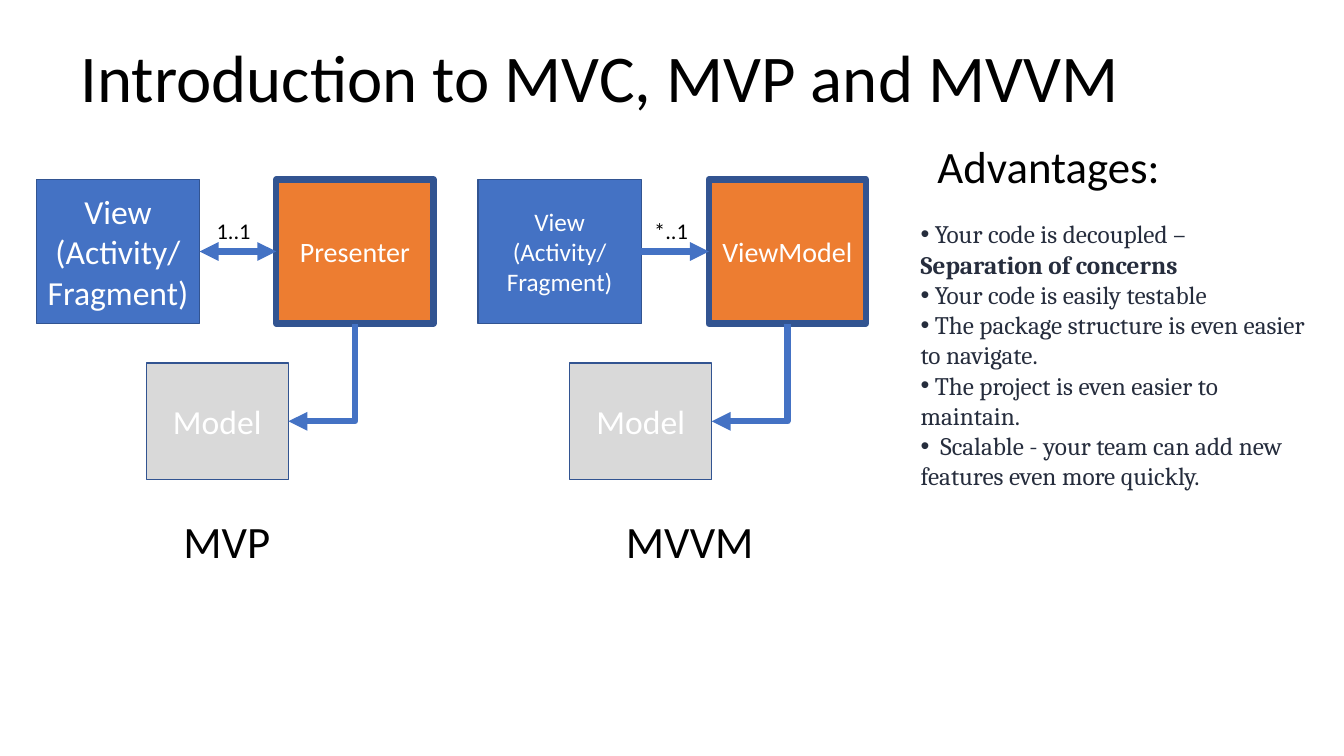
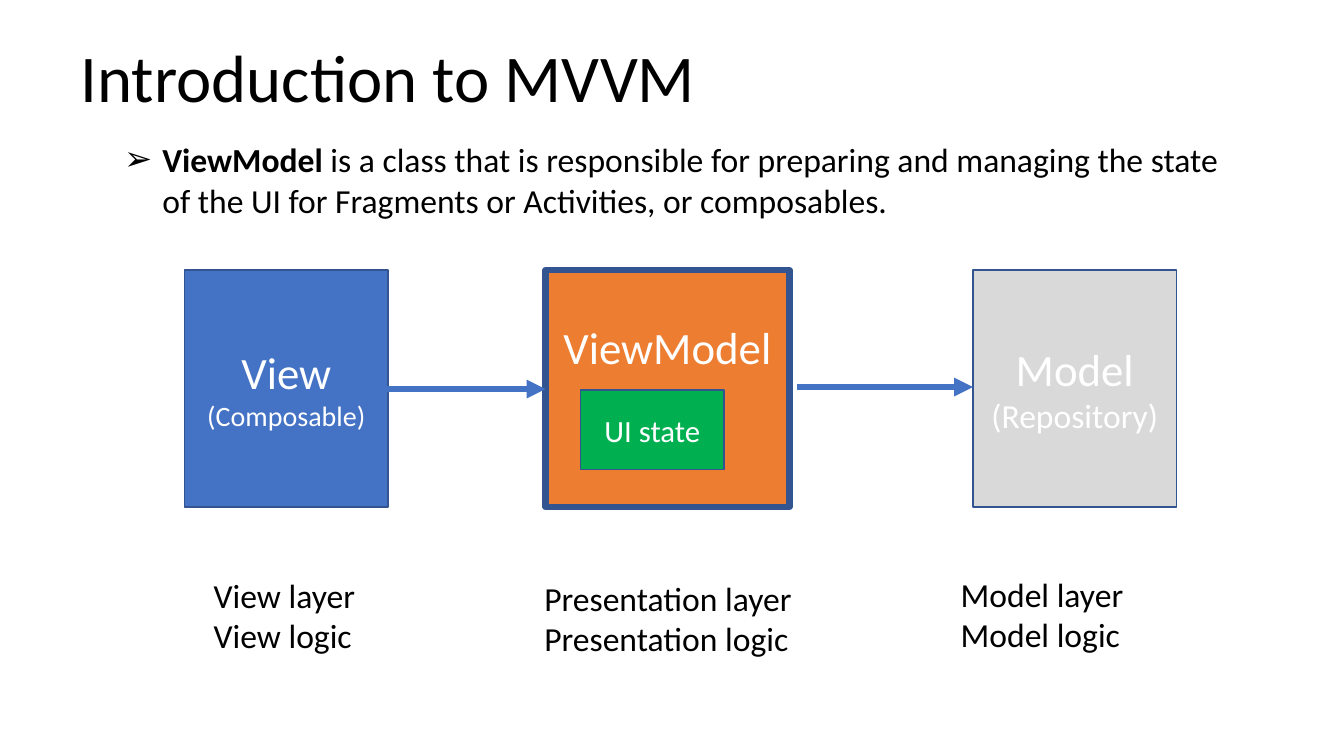
"""Build two slides that introduce MVP and MVVM."""
from lxml import etree
from pptx import Presentation
from pptx.dml.color import RGBColor
from pptx.enum.shapes import MSO_CONNECTOR, MSO_SHAPE
from pptx.enum.text import MSO_ANCHOR, MSO_AUTO_SIZE, PP_ALIGN
from pptx.oxml.ns import qn
from pptx.util import Inches, Pt

RECTANGLE = MSO_SHAPE.RECTANGLE
STRAIGHT, ELBOW = MSO_CONNECTOR.STRAIGHT, MSO_CONNECTOR.ELBOW
BOTTOM, MIDDLE = MSO_ANCHOR.BOTTOM, MSO_ANCHOR.MIDDLE
NO_AUTOFIT = MSO_AUTO_SIZE.NONE
LEFT, CENTER = PP_ALIGN.LEFT, PP_ALIGN.CENTER
color = RGBColor.from_string
BLUE, NAVY, ORANGE, GRAY, GREEN = "4472C4", "325491", "ED7D31", "D9D9D9", "00B050"
BLACK, WHITE, INK = "000000", "FFFFFF", "262D3D"
FONT, LIST_FONT = "Calibri", "Cambria"
THICK, THIN = 4.5, 1


def add_text(slide, frame, lines, sizes, fill=None, border=THIN):
    """Add lines of text, in a filled box when a fill is given."""
    frame = [Inches(length) for length in frame]
    if fill:
        shape = slide.shapes.add_shape(RECTANGLE, *frame)
        shape.shadow.inherit = False
        shape.fill.solid()
        shape.fill.fore_color.rgb = color(fill)
        shape.line.color.rgb = color(NAVY)
        shape.line.width = Pt(border)
        shape.text_frame.vertical_anchor = MIDDLE
    else:
        shape = slide.shapes.add_textbox(*frame)
    shape.text_frame.word_wrap = True
    shape.text_frame.text = "\n".join(lines)
    for paragraph, size in zip(shape.text_frame.paragraphs, sizes):
        paragraph.alignment = CENTER if fill else LEFT
        font = paragraph.runs[0].font
        font.name, font.size = FONT, Pt(size)
        font.color.rgb = color(WHITE if fill else BLACK)
    return shape


def add_arrow(slide, start, end, bent=False, two_way=False):
    """Add a straight arrow, or one that runs down and then left."""
    (x1, y1), (x2, y2) = start, end
    if bent:
        middle_x, middle_y = (x1 + x2) / 2, (y1 + y2) / 2
        half_width, half_height = (y2 - y1) / 2, (x1 - x2) / 2
        x1, x2 = middle_x - half_width, middle_x + half_width
        y1, y2 = middle_y - half_height, middle_y + half_height
    connector = slide.shapes.add_connector(
        ELBOW if bent else STRAIGHT, Inches(x1), Inches(y1), Inches(x2), Inches(y2))
    connector.line.color.rgb = color(BLUE)
    connector.line.width = Pt(THICK)
    properties = connector._element.spPr
    if bent:
        properties.find(qn("a:xfrm")).set("rot", "5400000")
        properties.find(qn("a:prstGeom")).set("prst", "bentConnector2")
    outline = properties.find(qn("a:ln"))
    for tag in ("a:headEnd", "a:tailEnd") if two_way else ("a:tailEnd",):
        etree.SubElement(outline, qn(tag), type="triangle")
    etree.SubElement(properties, qn("a:effectLst"))


presentation = Presentation()
presentation.slide_width, presentation.slide_height = Inches(13.33), Inches(7.5)
layout = presentation.slide_layouts[1]
title_frame = (0.7, 0.61, 11.54, 0.6)
contents = [
    ("Introduction to MVC, MVP and MVVM", (9.03, 2.12, 4.04, 2.83),
     "•", 0, LIST_FONT, 18, INK, [
         [(" Your code is decoupled – ", False), ("Separation of concerns", True)],
         [(" Your code is easily testable", False)],
         [(" The package structure is even easier to navigate.", False)],
         [(" The project is even easier to maintain.", False)],
         [("  Scalable - your team can add new features even more quickly.", False)]]),
    ("Introduction to MVVM", (1.13, 1.33, 11.11, 0.91),
     "➢", 0.38, FONT, 24, BLACK, [
         [("ViewModel", True),
          ("\u00a0is a class that is responsible for preparing and managing the state "
           "of the UI for Fragments or Activities, or composables.", False)]]),
]
for title, list_frame, bullet, indent, list_font, list_size, list_color, items in contents:
    slide = presentation.slides.add_slide(layout)
    heading, body = slide.placeholders
    for placeholder, frame in ((heading, title_frame), (body, list_frame)):
        placeholder.left, placeholder.top, placeholder.width, placeholder.height = map(Inches, frame)
        placeholder.text_frame.auto_size = NO_AUTOFIT
    heading.text_frame.text = title
    heading.text_frame.vertical_anchor = BOTTOM
    paragraph = heading.text_frame.paragraphs[0]
    paragraph.alignment, paragraph.line_spacing = LEFT, 0.9
    font = paragraph.runs[0].font
    font.name, font.size, font.color.rgb = FONT, Pt(47.7), color(BLACK)

    body.text_frame.text = "\n".join([""] * len(items))
    for paragraph, item in zip(body.text_frame.paragraphs, items):
        paragraph.space_before = Pt(0)
        properties = paragraph._p.get_or_add_pPr()
        properties.set("marL", str(Inches(indent)))
        properties.set("indent", str(-Inches(indent)))
        etree.SubElement(properties, qn("a:buFont"), typeface="Arial")
        etree.SubElement(properties, qn("a:buChar"), char=bullet)
        for text, bold in item:
            run = paragraph.add_run()
            run.text = text
            run.font.name, run.font.size, run.font.bold = list_font, Pt(list_size), bold
            run.font.color.rgb = color(list_color)

comparison, architecture = presentation.slides

box_top, box_height, view_width, presenter_width = 1.78, 1.43, 1.62, 1.56
model_top, model_width, model_height = 3.6, 1.41, 1.16
patterns = [
    ("MVP", 1.72, 0.36, 24, "Presenter", 2.74, 1.45, "1..1", 2.05, True),
    ("MVVM", 6.11, 4.74, 18, "ViewModel", 7.03, 5.65, "*..1", 6.39, False),
]
for (pattern, pattern_left, view_left, view_size, presenter, presenter_left,
     model_left, ratio, ratio_left, two_way) in patterns:
    add_text(comparison, (view_left, box_top, view_width, box_height),
             ["View", "(Activity/", "Fragment)"], [view_size] * 3, BLUE)
    add_text(comparison, (presenter_left, box_top, presenter_width, box_height),
             [presenter], [20], ORANGE, THICK)
    add_text(comparison, (model_left, model_top, model_width, model_height), ["Model"], [24], GRAY)
    arrow_y = box_top + box_height / 2
    add_arrow(comparison, (view_left + view_width, arrow_y), (presenter_left, arrow_y),
              two_way=two_way)
    add_arrow(comparison, (presenter_left + presenter_width / 2, box_top + box_height),
              (model_left + model_width, model_top + model_height / 2), bent=True)
    add_text(comparison, (pattern_left, 5.05, 1.56, 0.64), [pattern], [32])
    add_text(comparison, (ratio_left, 2.11, 0.56, 0.37), [ratio], [16])
add_text(comparison, (9.2, 1.33, 3.56, 0.64), ["Advantages:"], [32])

layers = [
    ("View", 1.83, 2.02, ["View", "(Composable)"], [32, 20], BLUE, THIN, 0.05, 2.02, 5.65),
    ("Presentation", 5.41, 2.42, ["ViewModel"], [32], ORANGE, THICK, 0.88, 5.3, 5.68),
    ("Model", 9.65, 2.02, ["Model", "(Repository)"], [32, 24], GRAY, THIN, 0.05, 9.43, 5.64),
]
for layer, left, width, lines, sizes, fill, border, margin, label_left, label_top in layers:
    box = add_text(architecture, (left, 2.68, width, 2.35), lines, sizes, fill, border)
    box.text_frame.margin_bottom = Inches(margin)
    add_text(architecture, (label_left, label_top, 2.81, 0.91),
             [f"{layer} layer", f"{layer} logic"], [24, 24])
add_text(architecture, (5.76, 3.87, 1.42, 0.79), ["UI state"], [22], GREEN)
add_arrow(architecture, (3.84, 3.86), (5.41, 3.86))
add_arrow(architecture, (7.9, 3.84), (9.65, 3.84))

presentation.save("out.pptx")
